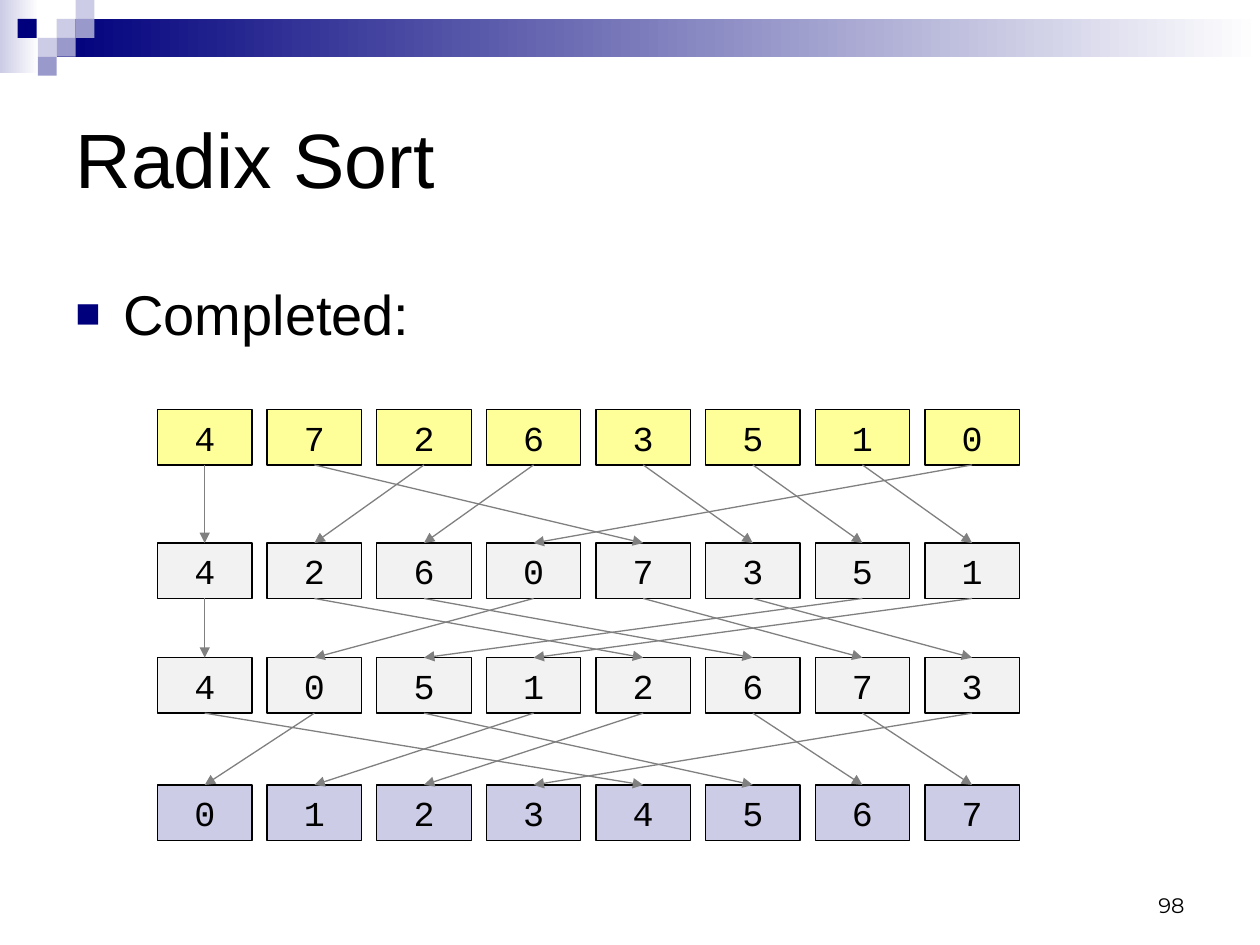
from lxml.etree import SubElement
from pptx import Presentation
from pptx.dml.color import RGBColor
from pptx.enum.shapes import MSO_CONNECTOR, MSO_SHAPE
from pptx.enum.text import MSO_ANCHOR, PP_ALIGN
from pptx.oxml.ns import qn
from pptx.util import Inches, Pt

NAVY, LAVENDER, VIOLET = "00007D", "CCCCE6", "9999CC"
BLACK, WHITE, GRAY = "000000", "FFFFFF", "808080"
BANDS = [
    ((0, 0, 0.31, 0.58), (LAVENDER, WHITE)),
    ((0.45, 0.15, 9.55, 0.3), (NAVY, WHITE)),
]
SQUARES = [
    (0.45, 0.15, LAVENDER),
    (0.6, 0, LAVENDER),
    (0.6, 0.15, VIOLET),
    (0.3, 0.3, LAVENDER),
    (0.14, 0.15, NAVY),
    (0.45, 0.3, VIOLET),
    (0.3, 0.45, VIOLET),
]
ROWS = [
    (3.25, "FFFF99", "47263510"),
    (4.31, "F2F2F2", "42607351"),
    (5.22, "F2F2F2", "40512673"),
    (6.23, LAVENDER, "01234567"),
]
ROW_LEFT, COLUMN_PITCH = 1.25, 0.87
CELL_WIDTH, CELL_HEIGHT = 0.75, 0.44


def color(value):
    """Turn a hex string into a colour."""
    return RGBColor.from_string(value)


def apply_format(target, values):
    """Set each named attribute of the target."""
    for name, value in values.items():
        setattr(target, name, value)


def write_text(box, text, size, font="Arial", align=PP_ALIGN.LEFT, anchor=MSO_ANCHOR.MIDDLE):
    """Put one formatted paragraph in a box and return it."""
    apply_format(box.text_frame, {"word_wrap": True, "vertical_anchor": anchor})
    para = box.text_frame.paragraphs[0]
    para.alignment = align
    span = para.add_run()
    span.text = text
    apply_format(span.font, {"name": font, "size": Pt(size)})
    span.font.color.rgb = color(BLACK)
    return para


def add_rectangle(page, place, fill):
    """Add a plain rectangle with a solid fill or a pair of gradient colours."""
    box = page.shapes.add_shape(MSO_SHAPE.RECTANGLE, *map(Inches, place))
    box.shadow.inherit = False
    box.line.fill.background()
    if isinstance(fill, str):
        box.fill.solid()
        box.fill.fore_color.rgb = color(fill)
    else:
        box.fill.gradient()
        box.fill.gradient_angle = 0
        for stop, shade in zip(box.fill.gradient_stops, fill):
            stop.color.rgb = color(shade)
    return box


def add_textbox(page, place, text, size, **layout):
    """Add a text box and return its paragraph."""
    box = page.shapes.add_textbox(*map(Inches, place))
    return write_text(box, text, size, **layout)


def add_bullet(para):
    """Give a paragraph a navy square bullet with a hanging indent."""
    para.space_before = Pt(6.4)
    properties = para._p.get_or_add_pPr()
    properties.set("marL", str(Inches(0.38)))
    properties.set("indent", str(-Inches(0.38)))
    shade = SubElement(properties, qn("a:buClr"))
    SubElement(shade, qn("a:srgbClr"), val=NAVY)
    SubElement(properties, qn("a:buSzPct"), val="75000")
    SubElement(properties, qn("a:buFont"), typeface="Arial")
    SubElement(properties, qn("a:buChar"), char="■")


def add_row(page, top, fill, digits):
    """Add a row of digit cells and return them by digit."""
    cells = {}
    for column, digit in enumerate(digits):
        left = ROW_LEFT + column * COLUMN_PITCH
        cell = add_rectangle(page, (left, top, CELL_WIDTH, CELL_HEIGHT), fill)
        cell.line.color.rgb = color(BLACK)
        cell.line.width = Pt(0.75)
        write_text(cell, digit, 20, font="Courier New", align=PP_ALIGN.CENTER)
        cells[digit] = cell
    return cells


def add_arrow(page, source, target):
    """Join the bottom of one cell to the top of another."""
    arrow = page.shapes.add_connector(MSO_CONNECTOR.STRAIGHT, 0, 0, 0, 0)
    arrow.begin_connect(source, 2)
    arrow.end_connect(target, 0)
    arrow.line.color.rgb = color(GRAY)
    arrow.line.width = Pt(0.75)
    SubElement(arrow.line._get_or_add_ln(), qn("a:tailEnd"), type="triangle")
    SubElement(arrow._element.spPr, qn("a:effectLst"))


def add_title(page, text):
    """Place and fill the title placeholder."""
    title = page.shapes.title
    place = {"left": 0.5, "top": 0.5, "width": 9, "height": 1.5}
    apply_format(title, {name: Inches(value) for name, value in place.items()})
    write_text(title, text, 44)


def main():
    """Build the radix sort slide."""
    deck = Presentation()
    apply_format(deck, {"slide_width": Inches(10), "slide_height": Inches(7.5)})
    page = deck.slides.add_slide(deck.slide_layouts[5])
    for place, shades in BANDS:
        add_rectangle(page, place, shades)
    for left, top, fill in SQUARES:
        add_rectangle(page, (left, top, 0.15, 0.15), fill)
    add_title(page, "Radix Sort")
    add_bullet(add_textbox(page, (0.5, 2.17, 9, 0.75), "Completed:", 32, anchor=MSO_ANCHOR.TOP))
    rows = [add_row(page, *row) for row in ROWS]
    for upper, lower in zip(rows, rows[1:]):
        for digit, cell in upper.items():
            add_arrow(page, cell, lower[digit])
    add_textbox(page, (7.17, 6.83, 2.33, 0.5), "98", 12, font="Montserrat",
                align=PP_ALIGN.RIGHT, anchor=MSO_ANCHOR.BOTTOM)
    deck.save("out.pptx")


if __name__ == "__main__":
    main()
